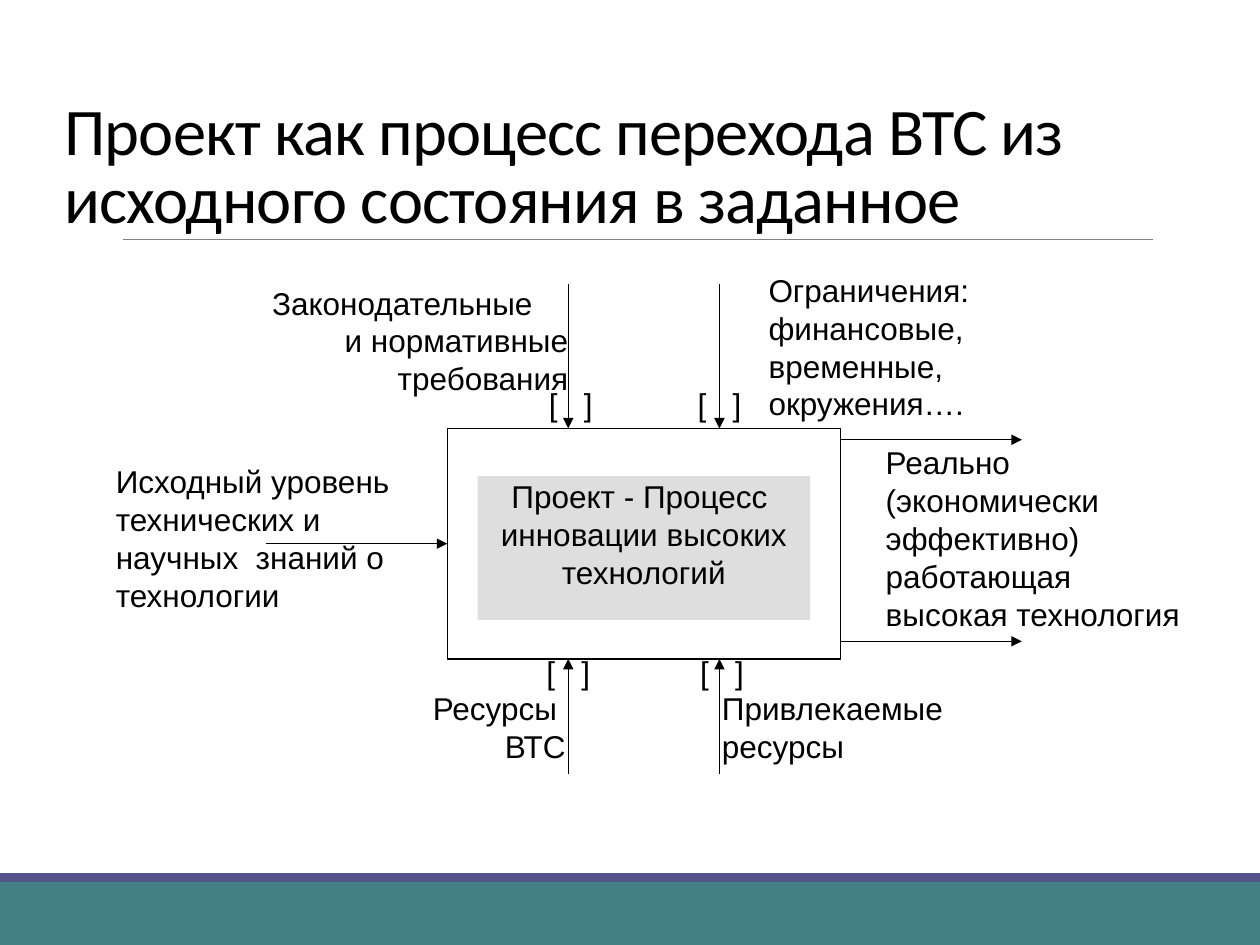
from pptx import Presentation
from pptx.dml.color import RGBColor
from pptx.enum.shapes import MSO_CONNECTOR, MSO_SHAPE
from pptx.enum.text import MSO_ANCHOR, MSO_AUTO_SIZE, PP_ALIGN
from pptx.oxml.ns import qn
from pptx.util import Inches, Pt
from lxml.etree import SubElement

LEFT, MID, RIGHT = PP_ALIGN.LEFT, PP_ALIGN.CENTER, PP_ALIGN.RIGHT
TITLE = "Проект как процесс перехода ВТС из исходного состояния в заданное"
BARS = [((0, 7, 10, 0.5), "438086"), ((0, 6.93, 10, 0.07), "53548A")]
BOX = (3.55, 3.4, 3.12, 1.83)
CORE = (3.79, 3.78, 2.64, 1.14)
CORE_TEXT = ["Проект - Процесс ", "инновации высоких технологий"]
COLS = (4.51, 5.71)
OUT_ROWS = (3.49, 5.09)
REACH = 1.44
TOP, LOW = 2.25, 6.14
PAD = (0.02, 0.01)
LABELS = [
    ((5.75, 2.15, 2.4, 0.92), LEFT, (0.35, 0),
     ["Ограничения:", "финансовые,", "временные,", "окружения…."]),
    ((7.01, 3.51, 2.4, 1.6), LEFT, PAD,
     ["Реально (экономически эффективно) работающая высокая технология"]),
    ((5.71, 5.46, 1.92, 0.69), LEFT, PAD, ["Привлекаемые ресурсы"]),
    ((2.11, 2.25, 2.4, 0.92), RIGHT, (0, 0),
     ["Законодательные", "и нормативные", "требования"]),
    ((0.9, 3.66, 2.4, 1.37), LEFT, PAD,
     ["Исходный уровень технических и научных  знаний о технологии"]),
    ((2.59, 5.46, 1.92, 0.69), RIGHT, PAD, ["Ресурсы ", "ВТС"]),
]
MARKS = [(4.29, 3.05), (5.47, 3.05), (4.27, 5.17), (5.49, 5.17)]


def paint(fmt, color):
    """Give a fill or a font a solid colour."""
    if hasattr(fmt, "solid"):
        fmt.solid()
        fmt.fore_color.rgb = RGBColor.from_string(color)
    else:
        fmt.color.rgb = RGBColor.from_string(color)


def write(shape, lines, align, pad, size=18, font="Arial"):
    """Fill a shape with one paragraph per line."""
    frame = shape.text_frame
    frame.word_wrap = True
    frame.auto_size = MSO_AUTO_SIZE.NONE
    frame.vertical_anchor = MSO_ANCHOR.TOP
    frame.margin_left, frame.margin_right = Inches(pad[0]), Inches(min(pad[0], 0.1))
    frame.margin_top = frame.margin_bottom = Inches(pad[1])
    for i, line in enumerate(lines):
        para = frame.paragraphs[0] if i == 0 else frame.add_paragraph()
        para.alignment = align
        run = para.add_run()
        run.text = line
        run.font.size, run.font.name = Pt(size), font
        paint(run.font, "000000")
    return frame


def block(slide, area, fill, edge=None):
    """Add a flat rectangle."""
    shape = slide.shapes.add_shape(MSO_SHAPE.RECTANGLE, *map(Inches, area))
    shape.shadow.inherit = False
    paint(shape.fill, fill)
    if edge:
        paint(shape.line.fill, edge)
        shape.line.width = Pt(0.75)
    else:
        shape.line.fill.background()
    return shape


def link(slide, start, end, color="000000", width=0.75, arrow=True):
    """Add a straight line, with an arrowhead at its end if asked."""
    line = slide.shapes.add_connector(
        MSO_CONNECTOR.STRAIGHT, *map(Inches, (*start, *end)))
    paint(line.line.fill, color)
    line.line.width = Pt(width)
    if arrow:
        SubElement(line.line._get_or_add_ln(), qn("a:tailEnd"), type="triangle")
    SubElement(line._element.spPr, qn("a:effectLst"))
    return line


def label(slide, area, lines, align, pad):
    """Add a text box."""
    shape = slide.shapes.add_textbox(*map(Inches, area))
    return write(shape, lines, align, pad)


def main():
    """Build the slide and save it."""
    deck = Presentation()
    deck.slide_width, deck.slide_height = Inches(10), Inches(7.5)
    slide = deck.slides.add_slide(deck.slide_layouts[5])
    for area, fill in BARS:
        block(slide, area, fill)
    link(slide, (0.98, 1.9), (9.15, 1.9), "808080", 0.5, False)

    head = slide.shapes.title
    head.left, head.top, head.width, head.height = map(Inches, (0.41, 0.35, 9, 2.13))
    frame = write(head, [TITLE], LEFT, (0.1, 0.05), 38, "Calibri")
    frame.vertical_anchor = MSO_ANCHOR.BOTTOM
    frame.margin_bottom = Inches(0.6)
    para = frame.paragraphs[0]
    para.line_spacing = 0.85
    para.runs[0].font._element.set("spc", "-50")

    left, top, wide, high = BOX
    box = block(slide, BOX, "FFFFFF", "000000")
    mid = top + high / 2
    link(slide, (left - REACH, mid), (left, mid)).end_connect(box, 1)
    for x in COLS:
        link(slide, (x, TOP), (x, top))
        link(slide, (x, LOW), (x, top + high))
    for y in OUT_ROWS:
        link(slide, (left + wide, y), (left + wide + REACH, y))

    for area, align, pad, lines in LABELS:
        frame = label(slide, area, lines, align, pad)
        if lines[0] == "Законодательные":
            first = frame.paragraphs[0]
            first.alignment = LEFT
            first._p.get_or_add_pPr().set("marL", str(Inches(0.05)))
    write(block(slide, CORE, "DEDEDE"), CORE_TEXT, MID, PAD)
    for x, y in MARKS:
        label(slide, (x, y, 0.48, 0.34), ["[   ]"], MID, PAD)
    deck.save("out.pptx")


if __name__ == "__main__":
    main()
